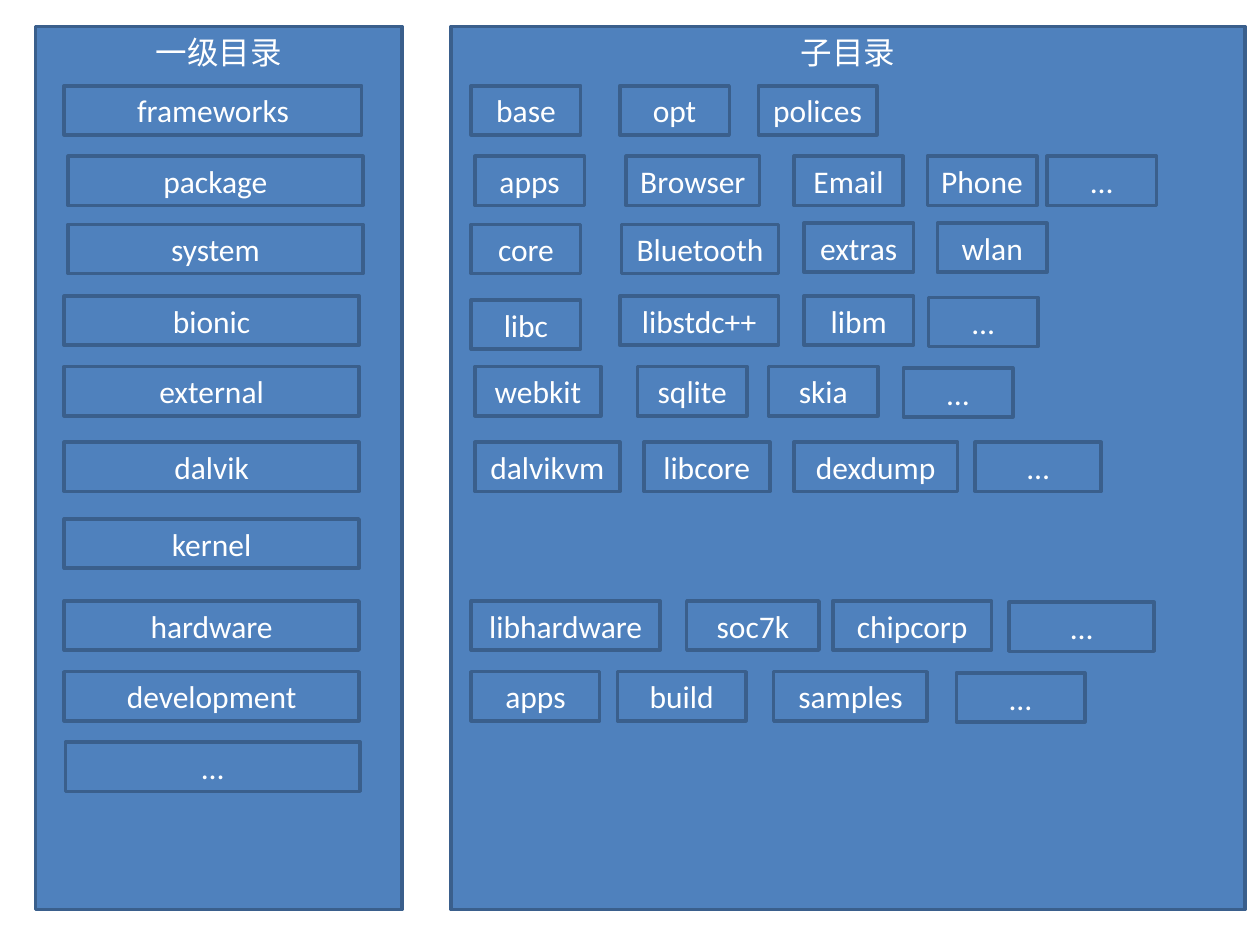
"""Builds a slide of top-level source directories and their subdirectories."""
from pptx import Presentation
from pptx.dml.color import RGBColor
from pptx.enum import shapes, text
from pptx.util import Pt

BLUE = RGBColor(0x4F, 0x81, 0xBD)
EDGE = RGBColor(0x3A, 0x5F, 0x8C)
WHITE = RGBColor(0xFF, 0xFF, 0xFF)

PANEL_TOP, PANEL_HEIGHT = 15.1, 504.7
BOX_HEIGHT = 28.1
SMALL = 62.6
PARENT_WIDTH = 168.5

PANELS = [("一级目录", 20.2, 209.5), ("子目录", 257.8, 453.6)]

# Each row: top, (directory, left, width), [(subdirectory, left, width, drop)]
ROWS = [
    (49, ("frameworks", 36.7, 170),
     [("base", 269.3, SMALL, 0), ("opt", 354.2, SMALL, 0), ("polices", 433.4, 67.7, 0)]),
    (89.3, ("package", 38.9, PARENT_WIDTH),
     [("apps", 271.4, SMALL, 0), ("Browser", 357.8, 76.3, 0), ("Email", 453.6, SMALL, 0),
      ("Phone", 529.9, SMALL, 0), ("…", 598.3, SMALL, 0)]),
    (128.2, ("system", 38.9, PARENT_WIDTH),
     [("core", 269.3, SMALL, 0), ("Bluetooth", 355, 90, 0), ("extras", 459.4, SMALL, -0.7),
      ("wlan", 535.7, SMALL, -0.7)]),
    (169.2, ("bionic", 36.7, PARENT_WIDTH),
     [("libc", 269.3, SMALL, 2.2), ("libstdc++", 354.2, 90.7, 0), ("libm", 459.4, SMALL, 0),
      ("…", 530.6, SMALL, 0.7)]),
    (209.5, ("external", 36.7, PARENT_WIDTH),
     [("webkit", 271.4, 72, 0), ("sqlite", 364.3, SMALL, 0), ("skia", 439.2, SMALL, 0),
      ("…", 516.2, SMALL, 0.7)]),
    (252.7, ("dalvik", 36.7, PARENT_WIDTH),
     [("dalvikvm", 271.4, 82.8, 0), ("libcore", 367.9, 72, 0), ("dexdump", 453.6, 93.6, 0),
      ("…", 557.3, 72, 0)]),
    (296.6, ("kernel", 36.7, PARENT_WIDTH), []),
    (343.4, ("hardware", 36.7, PARENT_WIDTH),
     [("libhardware", 269.3, 108, 0), ("soc7k", 392.4, 75.6, 0),
      ("chipcorp", 475.9, 90.7, 0), ("…", 576.7, 82.8, 0.7)]),
    (383.8, ("development", 36.7, PARENT_WIDTH),
     [("apps", 269.3, 73.4, 0), ("build", 352.8, 73.4, 0), ("samples", 442.1, 87.8, 0),
      ("…", 546.5, 73.4, 0.7)]),
    (424.1, ("…", 37.4, PARENT_WIDTH), []),
]


def add_box(slide, label, left, top, width, height, anchor):
    box = slide.shapes.add_shape(
        shapes.MSO_SHAPE.RECTANGLE, Pt(left), Pt(top), Pt(width), Pt(height))
    box.shadow.inherit = False
    box.fill.solid()
    box.fill.fore_color.rgb = BLUE
    box.line.color.rgb = EDGE
    box.line.width = Pt(2)
    frame = box.text_frame
    frame.word_wrap = True
    frame.vertical_anchor = anchor
    paragraph = frame.paragraphs[0]
    paragraph.alignment = text.PP_ALIGN.CENTER
    run = paragraph.add_run()
    run.text = label
    run.font.name = "Calibri"
    run.font.size = Pt(18)
    run.font.color.rgb = WHITE


def main():
    deck = Presentation()
    deck.slide_width, deck.slide_height = Pt(720), Pt(540)
    slide = deck.slides.add_slide(deck.slide_layouts[6])
    for heading, left, width in PANELS:
        add_box(slide, heading, left, PANEL_TOP, width, PANEL_HEIGHT, text.MSO_ANCHOR.TOP)
    for top, directory, subdirectories in ROWS:
        for name, left, width, drop in [(*directory, 0), *subdirectories]:
            add_box(slide, name, left, top + drop, width, BOX_HEIGHT, text.MSO_ANCHOR.MIDDLE)
    deck.save("out.pptx")


if __name__ == "__main__":
    main()
